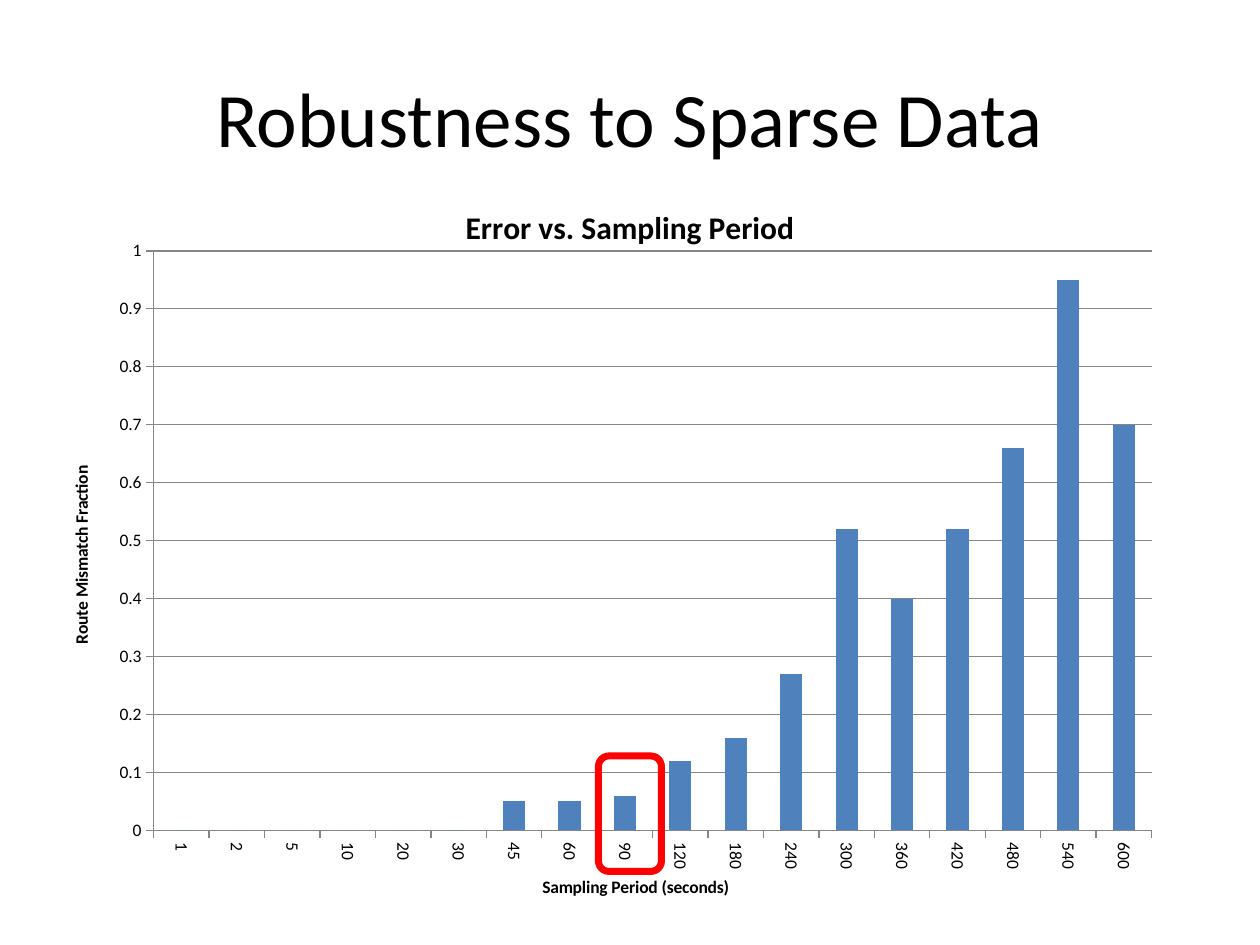
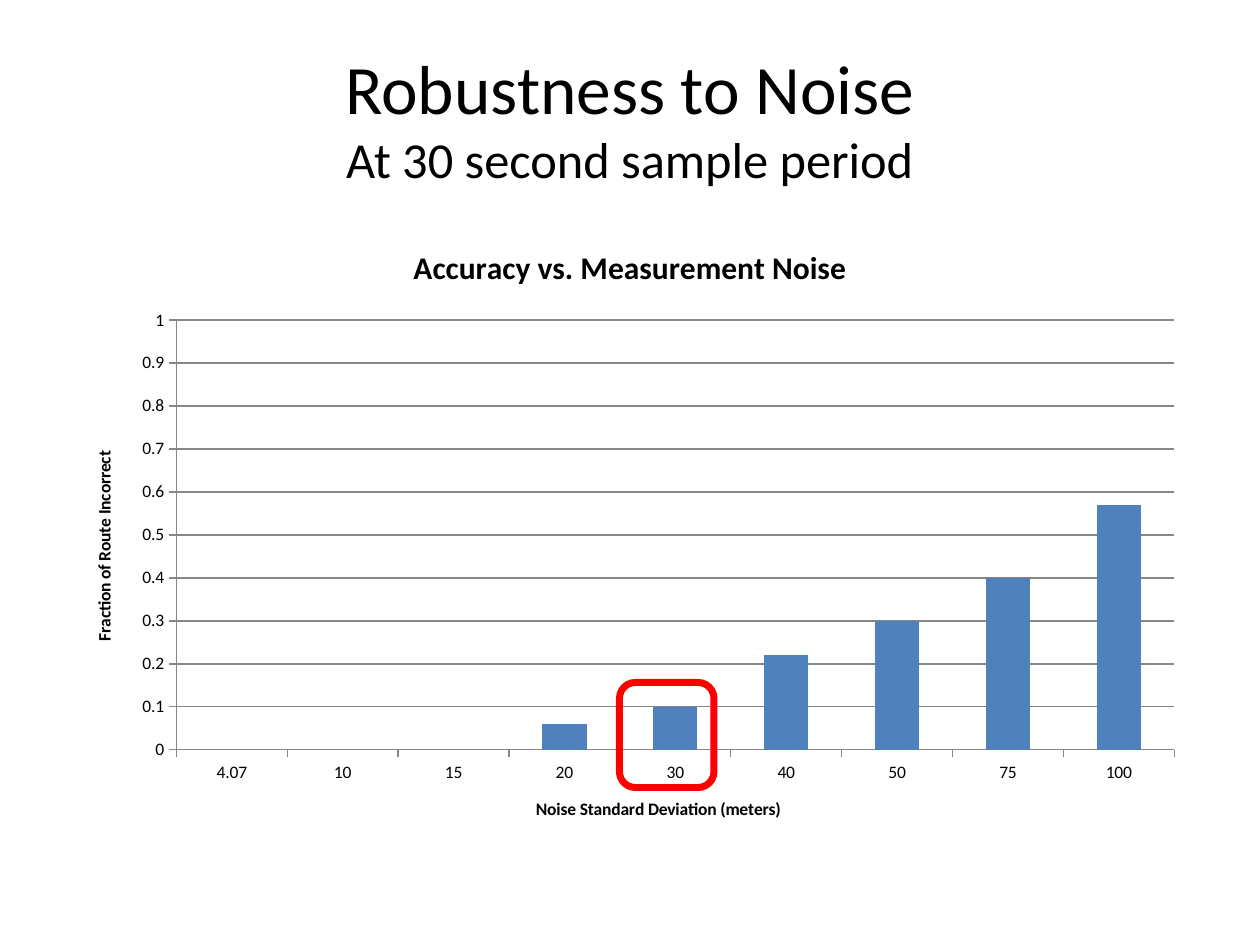
from pptx import Presentation
from pptx.chart.data import CategoryChartData
from pptx.dml.color import RGBColor
from pptx.enum.chart import XL_CHART_TYPE, XL_TICK_MARK
from pptx.enum.shapes import MSO_SHAPE
from pptx.enum.text import MSO_ANCHOR, PP_ALIGN
from pptx.oxml import parse_xml
from pptx.oxml.ns import nsdecls
from pptx.util import Pt

FONT = "Calibri"
COLOR = {"text": "000000", "bar": "4F81BD", "grid": "868686", "mark": "FF0000"}
HUE = {name: RGBColor.from_string(code) for name, code in COLOR.items()}


def write(frame, text, sizes, bold=False, turn=None):
    """Fill a frame with centred text, one size for each line."""
    para = frame.paragraphs[0]
    para.alignment = PP_ALIGN.CENTER
    for i, (line, size) in enumerate(zip(text.split("\n"), sizes)):
        if i:
            para.add_line_break()
        run = para.add_run()
        run.text = line
        run.font.name = FONT
        run.font.size = Pt(size)
        run.font.bold = bold
        run.font.color.rgb = HUE["text"]
    if turn is not None:
        body = frame._txBody.bodyPr
        body.set("rot", str(turn * 60000))
        body.set("vert", "horz")


# Content: boxes are left, top, width, height; plot areas are shares of the chart
slides = [
    {
        "head": "Robustness to Sparse Data", "sizes": [44],
        "title": "Error vs. Sampling Period",
        "x": "Sampling Period (seconds)", "y": "Route Mismatch Fraction",
        "cats": "1 2 5 10 20 30 45 60 90 120 180 240 300 360 420 480 540 600",
        "vals": [0] * 6 + [0.05, 0.05, 0.06, 0.12, 0.16, 0.27,
                           0.52, 0.4, 0.52, 0.66, 0.95, 0.7],
        "box": (36, 102, 648, 414), "plot": (0.08, 0.1, 0.88, 0.8),
        "turn": 90, "mark": (342, 432, 36, 66),
    },
    {
        "head": "Robustness to Noise\nAt 30 second sample period",
        "sizes": [39.6, 28.8],
        "title": "Accuracy vs. Measurement Noise",
        "x": "Noise Standard Deviation (meters)", "y": "Fraction of Route Incorrect",
        "cats": "4.07 10 15 20 30 40 50 75 100",
        "vals": [0, 0, 0, 0.06, 0.1, 0.22, 0.3, 0.4, 0.57],
        "box": (36, 126, 648, 356), "plot": (0.1, 0.16, 0.88, 0.69),
        "turn": 0, "mark": (354, 390, 54, 60),
    },
]

deck = Presentation()
deck.slide_width, deck.slide_height = Pt(720), Pt(540)

for item in slides:
    slide = deck.slides.add_slide(deck.slide_layouts[6])

    # Slide title
    frame = slide.shapes.add_textbox(Pt(36), Pt(21.6), Pt(648), Pt(90)).text_frame
    frame.word_wrap = True
    frame.vertical_anchor = MSO_ANCHOR.MIDDLE
    write(frame, item["head"], item["sizes"])

    # Column chart
    data = CategoryChartData()
    data.categories = item["cats"].split()
    data.add_series("Series 1", item["vals"])
    chart = slide.shapes.add_chart(
        XL_CHART_TYPE.COLUMN_CLUSTERED, *map(Pt, item["box"]), data).chart
    chart.has_legend = False
    chart.font.name = FONT
    chart.font.size = Pt(10)
    chart.font.color.rgb = HUE["text"]
    chart.has_title = True
    write(chart.chart_title.text_frame, item["title"], [18], bold=True)
    chart.chart_title.include_in_layout = False

    bars = chart.plots[0]
    bars.gap_width = 150
    bars.vary_by_categories = False
    fill = bars.series[0].format.fill
    fill.solid()
    fill.fore_color.rgb = HUE["bar"]

    # Axes
    xaxis, yaxis = chart.category_axis, chart.value_axis
    for axis, name, turn in ((xaxis, item["x"], 0), (yaxis, item["y"], -90)):
        axis.has_title = True
        write(axis.axis_title.text_frame, name, [10], bold=True, turn=turn)
        axis.major_tick_mark = XL_TICK_MARK.OUTSIDE
        axis.minor_tick_mark = XL_TICK_MARK.NONE
        axis.format.line.color.rgb = HUE["grid"]
        axis.format.line.width = Pt(0.75)
        axis.tick_labels.font.size = Pt(10)
    xaxis._element.txPr.bodyPr.set("rot", str(item["turn"] * 60000))
    yaxis.minimum_scale, yaxis.maximum_scale, yaxis.major_unit = 0, 1, 0.1
    yaxis.tick_labels.number_format = "General"
    yaxis.tick_labels.number_format_is_linked = False
    yaxis.has_major_gridlines = True
    yaxis.major_gridlines.format.line.color.rgb = HUE["grid"]
    yaxis.major_gridlines.format.line.width = Pt(0.75)

    # Fixed inner plot area
    modes = "".join(f'<c:{k}Mode val="edge"/>' for k in "xy")
    sides = "".join(f'<c:{k} val="{v}"/>' for k, v in zip("xywh", item["plot"]))
    area = chart._chartSpace.chart.plotArea
    for old in area.xpath("c:layout"):
        area.remove(old)
    area.insert(0, parse_xml(
        f'<c:layout {nsdecls("c")}><c:manualLayout><c:layoutTarget val="inner"/>'
        f'{modes}{sides}</c:manualLayout></c:layout>'))

    # Red frame around the key column
    mark = slide.shapes.add_shape(MSO_SHAPE.ROUNDED_RECTANGLE, *map(Pt, item["mark"]))
    mark.shadow.inherit = False
    mark.fill.background()
    mark.line.color.rgb = HUE["mark"]
    mark.line.width = Pt(4)

deck.save("out.pptx")
